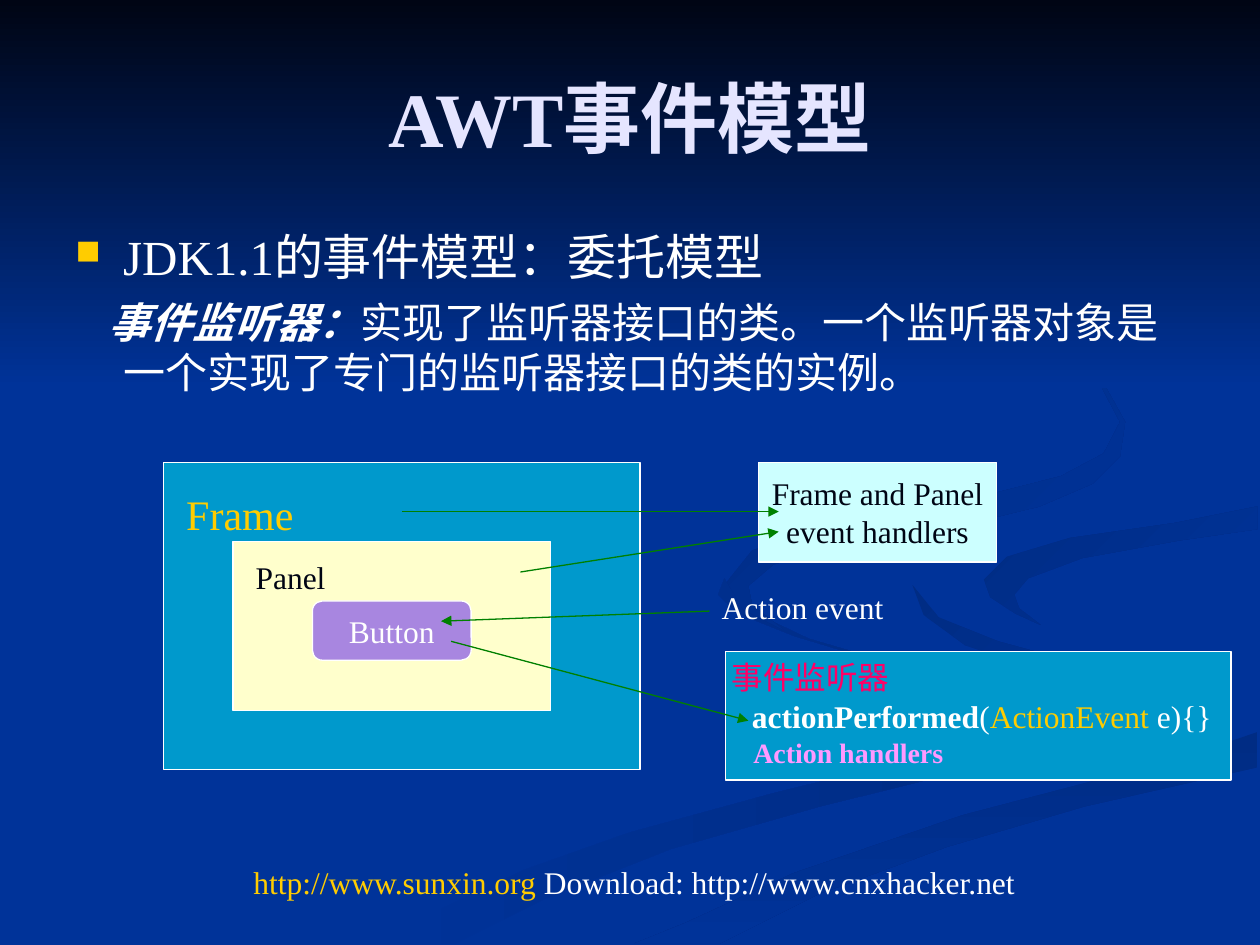
from dataclasses import dataclass

from lxml import etree
from pptx import Presentation
from pptx import util as u
from pptx.dml.color import RGBColor
from pptx.enum import shapes, text
from pptx.oxml import ns

CELL = u.Inches(0.1)  # the slide is a grid of 100 columns by 75 rows
FONT = "Times New Roman"
WHITE = RGBColor(0xFF, 0xFF, 0xFF)
NAVY = RGBColor(0x00, 0x33, 0x99)
INK = RGBColor(0x00, 0x05, 0x14)
LAVENDER = RGBColor(0xE5, 0xE5, 0xFF)
GOLD = RGBColor(0xFF, 0xCC, 0x00)
TEAL = RGBColor(0x00, 0x99, 0xCC)
CREAM = RGBColor(0xFF, 0xFF, 0xCC)
PURPLE = RGBColor(0xA8, 0x86, 0xE0)
ICE = RGBColor(0xCC, 0xFF, 0xFF)
GREEN = RGBColor(0x00, 0x80, 0x00)
CRIMSON = RGBColor(0xFF, 0x00, 0x66)
PINK = RGBColor(0xFF, 0x99, 0xFF)
SHADE = RGBColor(0x00, 0x2C, 0x84)

# Outlines of the faint background ribbons, in columns and rows
RIBBONS = [
    (0, SHADE, [(78.1, 55.3), (73.1, 53.3), (64.2, 50.7), (58.7, 48.1), (57.5, 45.9),
                (57, 47.2), (58.6, 48.7), (63.1, 50.5), (71.4, 53), (77, 55.1),
                (78.6, 56.6), (77.4, 58.3), (72.7, 60.2), (61.6, 62.9), (49.9, 66.1),
                (41.7, 69), (33.8, 72.7), (30, 74.9), (36.1, 74.9), (43.1, 71.4),
                (53.2, 67.4), (65.1, 64), (75.6, 61.4), (79.1, 59.7), (80, 58.1),
                (79.2, 56.1)]),
    (45, SHADE, [(94.3, 57), (93, 55.3), (88.8, 53.5), (79.2, 50.9), (74.5, 49),
                 (72.4, 46.4), (73.3, 48.8), (76.6, 51.2), (83.8, 53.6), (89.2, 55.3),
                 (91.7, 57.6), (91.1, 59.3), (89.4, 60.5), (93.2, 58.9)]),
    (90, SHADE, [(50.3, 74.9), (57.1, 74.9), (64.9, 71), (75.2, 67.2), (86.1, 64),
                 (99.8, 60.9), (99.8, 58.1), (93.6, 60.2), (76.4, 64.7), (63, 69.3),
                 (54.3, 73.3)]),
    (45, SHADE, [(78.1, 46), (78.6, 47.4), (80.6, 48.7), (82.6, 49.6), (80.9, 48.3),
                 (80.5, 47.2), (81.6, 45.9), (85.9, 44.3), (93.6, 42.9), (99.8, 42),
                 (99.8, 40.2), (93.3, 41.5), (84.9, 42.7), (79.9, 44.2)]),
    (45, SHADE, [(68.3, 43), (76.4, 41.7), (82.5, 40.2), (86.7, 38.4), (88.9, 36.2),
                 (89.3, 33.5), (87.3, 29.9), (84.3, 27.5), (78.9, 24.5), (76.2, 23.3),
                 (82.6, 26.6), (87, 29.9), (88.9, 33.5), (87.6, 36), (84.2, 37.8),
                 (76.3, 39.8), (64.9, 42), (59.7, 43.7), (57.7, 46.2), (59, 48.4),
                 (62.2, 50), (59.7, 48), (59.4, 46.5), (61.4, 44.8)]),
]


@dataclass
class Box:
    """A region of the slide, measured in columns and rows."""
    col: float
    row: float
    cols: float
    rows: float

    def inner(self, col, row, cols, rows):
        return Box(self.col + col, self.row + row, cols, rows)

    def point(self, col, row):
        return round((self.col + col) * CELL), round((self.row + row) * CELL)

    def frame(self):
        return *self.point(0, 0), round(self.cols * CELL), round(self.rows * CELL)


def write(frame, paragraphs, size, align=None):
    """Each paragraph is a list of (words, colour, bold) runs."""
    for index, runs in enumerate(paragraphs):
        para = frame.paragraphs[0] if index == 0 else frame.add_paragraph()
        para.alignment = align
        para.font.name, para.font.size = FONT, u.Pt(size)
        for words, colour, bold in runs:
            run = para.add_run()
            run.text = words
            run.font.color.rgb, run.font.bold = colour, bold


def label(slide, box, runs, size, align=None, anchor=text.MSO_ANCHOR.TOP):
    frame = slide.shapes.add_textbox(*box.frame()).text_frame
    frame.word_wrap, frame.vertical_anchor = True, anchor
    write(frame, [runs], size, align)


def panel(slide, box, fill, lines=(), colour=WHITE, kind=shapes.MSO_SHAPE.RECTANGLE):
    block = slide.shapes.add_shape(kind, *box.frame())
    block.shadow.inherit = False
    block.fill.solid()
    block.fill.fore_color.rgb = fill
    block.line.color.rgb, block.line.width = WHITE, u.Pt(0.75)
    block.text_frame.word_wrap = False
    write(block.text_frame, [[(line, colour, False)] for line in lines], 18,
          text.PP_ALIGN.CENTER)


def arrow(slide, start, end):
    link = slide.shapes.add_connector(shapes.MSO_CONNECTOR.STRAIGHT, *start, *end)
    link.line.color.rgb, link.line.width = GREEN, u.Pt(0.75)
    outline = link._element.spPr.find(ns.qn("a:ln"))
    etree.SubElement(outline, ns.qn("a:tailEnd"), type="triangle")
    etree.SubElement(link._element.spPr, ns.qn("a:effectLst"))


def shade(shape, angle, first, last):
    """Gradient without outline; the angle turns clockwise."""
    shape.shadow.inherit = False
    shape.line.fill.background()
    shape.fill.gradient()
    shape.fill.gradient_angle = -angle % 360
    for stop, colour in zip(shape.fill.gradient_stops, (first, last)):
        stop.color.rgb = colour


def backdrop(slide, box):
    slide.background.fill.solid()
    slide.background.fill.fore_color.rgb = NAVY
    for angle, colour, outline in RIBBONS:
        start, *rest = [box.point(*spot) for spot in outline]
        builder = slide.shapes.build_freeform(*start)
        builder.add_line_segments(rest)
        colours = (colour, NAVY) if angle else (NAVY, colour)
        shade(builder.convert_to_shape(), angle, *colours)
    sky = slide.shapes.add_shape(shapes.MSO_SHAPE.RECTANGLE,
                                 *box.inner(0, 0, box.cols, 30.8).frame())
    shade(sky, 90, INK, NAVY)


def explanation(slide, box):
    frame = slide.shapes.add_textbox(*box.frame()).text_frame
    frame.word_wrap = True
    heading, definition = frame.paragraphs[0], frame.add_paragraph()
    for para, indent in ((heading, -0.38), (definition, -0.12)):
        props = para._p.get_or_add_pPr()
        props.set("marL", str(u.Inches(0.38)))
        props.set("indent", str(u.Inches(indent)))
    # Square gold bullet on the heading
    props = heading._p.get_or_add_pPr()
    tint = etree.SubElement(props, ns.qn("a:buClr"))
    etree.SubElement(tint, ns.qn("a:srgbClr"), val=str(GOLD))
    etree.SubElement(props, ns.qn("a:buSzPct"), val="70000")
    etree.SubElement(props, ns.qn("a:buChar"), char="■")
    definition.space_before = u.Pt(6)
    for para, size in ((heading, 28), (definition, 24)):
        para.font.name, para.font.size = FONT, u.Pt(size)
        para.font.color.rgb = WHITE
    heading.add_run().text = "JDK1.1的事件模型：委托模型"
    term = definition.add_run()
    term.text = "事件监听器："
    term.font.bold = term.font.italic = True
    definition.add_run().text = "实现了监听器接口的类。一个监听器对象是一个实现了专门的监听器接口的类的实例。"


def components(slide, box):
    """Button inside panel inside frame."""
    panel(slide, box, TEAL)
    label(slide, box.inner(0.8, 1.6, 11, 9), [("Frame", GOLD, False)], 24)
    panel(slide, box.inner(5.5, 6.3, 25.2, 13.4), CREAM)
    label(slide, box.inner(6.3, 7.1, 9.5, 4), [("Panel", INK, False)], 18)
    panel(slide, box.inner(11.8, 11, 12.6, 4.7), PURPLE, ["Button"],
          kind=shapes.MSO_SHAPE.ROUNDED_RECTANGLE)


def listener(slide, box):
    panel(slide, box, TEAL)
    label(slide, box.inner(-0.5, 0, 15, 4), [("事件监听器", CRIMSON, False)], 18)
    label(slide, box.inner(1.1, 3.1, 39.4, 7),
          [("actionPerformed", WHITE, True), ("(", WHITE, False),
           ("ActionEvent ", GOLD, False), ("e){}", WHITE, False)], 18)
    label(slide, box.inner(1.2, 6.2, 20.5, 3.7), [("Action handlers", PINK, True)], 16)


def event_diagram(slide, box):
    components(slide, box.inner(0, 0, 37.8, 24.4))
    panel(slide, box.inner(47.2, 0, 18.9, 7.9), ICE,
          ["Frame and Panel", "event handlers"], INK)
    label(slide, box.inner(43.3, 9.5, 15.7, 7), [("Action event", WHITE, False)], 18)
    listener(slide, box.inner(44.6, 15, 40.1, 10.2))
    # Flow of events
    for start, end in [((18.9, 3.9), (48.8, 3.9)), ((28.3, 8.7), (48.8, 5.5)),
                       ((43.3, 11.8), (22, 12.6)), ((22.8, 14.2), (46.4, 20.5))]:
        arrow(slide, box.point(*start), box.point(*end))


def main():
    deck = Presentation()
    deck.slide_width, deck.slide_height = 100 * CELL, 75 * CELL
    slide = deck.slides.add_slide(deck.slide_layouts[6])
    page = Box(0, 0, 100, 75)
    backdrop(slide, page)
    label(slide, page.inner(5, 3, 90, 12.5), [("AWT事件模型", LAVENDER, True)], 44,
          text.PP_ALIGN.CENTER, text.MSO_ANCHOR.MIDDLE)
    explanation(slide, page.inner(5, 17.5, 90, 16.1))
    event_diagram(slide, page.inner(13, 36.7, 84.7, 25.2))
    label(slide, page.inner(17.7, 68, 65.3, 7),
          [("http://www.sunxin.org", GOLD, False),
           (" Download: http://www.cnxhacker.net", WHITE, False)], 18,
          text.PP_ALIGN.CENTER)
    deck.save("out.pptx")


if __name__ == "__main__":
    main()
